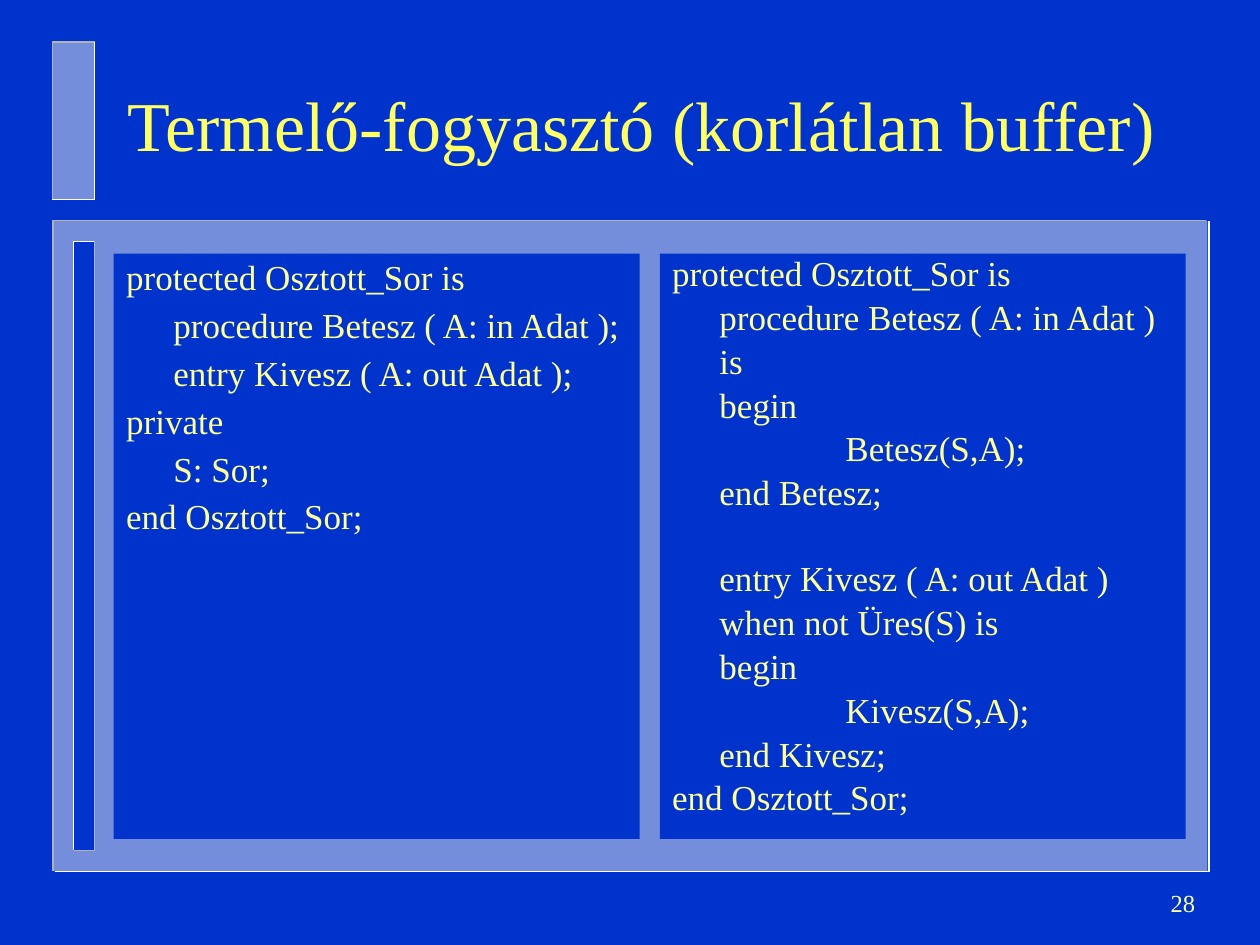
import lxml.etree
import pptx
import pptx.dml.color
import pptx.enum.shapes
import pptx.enum.text
import pptx.oxml.ns
import pptx.util

Pt = pptx.util.Pt
RGB = pptx.dml.color.RGBColor
ALIGN = pptx.enum.text.PP_ALIGN
ANCHOR = pptx.enum.text.MSO_ANCHOR
qn = pptx.oxml.ns.qn

BLUE = RGB(0x00, 0x33, 0xCC)
PALE = RGB(0xEA, 0xEA, 0xEA)
GREY = RGB(0xB2, 0xB2, 0xB2)
WHITE = RGB(0xFF, 0xFF, 0xFF)
YELLOW = RGB(0xFF, 0xFF, 0x66)
CREAM = RGB(0xFF, 0xFF, 0x99)

INDENTS = (0, 27, 99)
SPEC = [
    (0, "protected Osztott_Sor is"),
    (1, "procedure Betesz ( A: in Adat );"),
    (1, "entry Kivesz ( A: out Adat );"),
    (0, "private"),
    (1, "S: Sor;"),
    (0, "end Osztott_Sor;"),
]
BODY = [
    (0, "protected Osztott_Sor is"),
    (1, "procedure Betesz ( A: in Adat )"),
    (1, "is"),
    (1, "begin"),
    (2, "Betesz(S,A);"),
    (1, "end Betesz;"),
    (1, "entry Kivesz ( A: out Adat )"),
    (1, "when not Üres(S) is"),
    (1, "begin"),
    (2, "Kivesz(S,A);"),
    (1, "end Kivesz;"),
    (0, "end Osztott_Sor;"),
]


class Page:
    """Draws the elements of one slide in a shared style."""

    face = "Times New Roman"
    gap = 5.8

    def __init__(self, deck):
        self.slide = deck.slides.add_slide(deck.slide_layouts[6])
        fill = self.slide.background.fill
        fill.solid()
        fill.fore_color.rgb = BLUE
        self.shapes = self.slide.shapes

    def panel(self, box, color, alpha=None):
        kind = pptx.enum.shapes.MSO_SHAPE.RECTANGLE
        shape = self.shapes.add_shape(kind, *map(Pt, box))
        shape.shadow.inherit = False
        shape.fill.solid()
        shape.fill.fore_color.rgb = color
        shape.line.fill.background()
        if alpha is not None:
            tint = shape._element.spPr.find(".//" + qn("a:srgbClr"))
            lxml.etree.SubElement(tint, qn("a:alpha"), val=str(alpha * 1000))
        return shape

    def edge(self, points, color):
        points = [(Pt(x), Pt(y)) for x, y in points]
        pen = self.shapes.build_freeform(*points[0])
        pen.add_line_segments(points[1:], close=False)
        shape = pen.convert_to_shape()
        shape.shadow.inherit = False
        shape.fill.background()
        shape.line.color.rgb = color
        shape.line.width = Pt(1)

    def bevel(self, box, upper, lower, shift=0):
        x, y, w, h = box
        for color, corner, dx in (
            (upper, (x, y), -shift),
            (lower, (x + w, y + h), shift),
        ):
            points = [(x + w, y), corner, (x, y + h)]
            self.edge([(px + dx, py) for px, py in points], color)

    def style(self, para, size, color):
        for run in para.runs:
            run.font.name = self.face
            run.font.size = Pt(size)
            run.font.color.rgb = color

    def frame(self, shape, anchor):
        text = shape.text_frame
        text.word_wrap = True
        text.vertical_anchor = anchor
        text.margin_left = text.margin_right = Pt(7.2)
        text.margin_top = text.margin_bottom = Pt(3.6)
        return text

    def label(self, box, words, size, color, align=ALIGN.LEFT):
        shape = self.shapes.add_textbox(*map(Pt, box))
        text = self.frame(shape, ANCHOR.MIDDLE)
        text.text = words
        text.paragraphs[0].alignment = align
        self.style(text.paragraphs[0], size, color)

    def code(self, box, lines, pitch, breaks=()):
        text = self.frame(self.panel(box, BLUE), ANCHOR.TOP)
        text.text = "\n".join(words for _, words in lines)
        for i, para in enumerate(text.paragraphs):
            props = para._p.get_or_add_pPr()
            props.set("marL", str(Pt(INDENTS[lines[i][0]])))
            props.set("indent", "0")
            para.alignment = ALIGN.LEFT
            para.line_spacing = pitch
            if i:
                para.space_before = Pt(30 if i in breaks else self.gap)
            self.style(para, 20, CREAM)


def main():
    deck = pptx.Presentation()
    deck.slide_width, deck.slide_height = Pt(720), Pt(540)
    page = Page(deck)

    board = (31, 126, 659, 372)
    page.panel(board, PALE, 50)
    page.bevel(board, GREY, WHITE, 0.7)
    slot = (42, 138, 12, 348)
    page.panel(slot, BLUE)
    page.bevel(slot, WHITE, GREY)
    tab = (30, 24, 24, 90)
    page.panel(tab, PALE, 50)
    page.bevel(tab, GREY, WHITE)

    title = "Termelő-fogyasztó (korlátlan buffer)"
    page.label((66, 27, 612, 87), title, 40, YELLOW)
    page.code((65, 145, 300.5, 334.5), SPEC, 0.9)
    page.code((377, 145, 300.5, 334.5), BODY, 0.8, breaks=(6,))
    page.label((540, 498, 150, 36), "28", 14, CREAM, ALIGN.RIGHT)
    deck.save("out.pptx")


if __name__ == "__main__":
    main()
